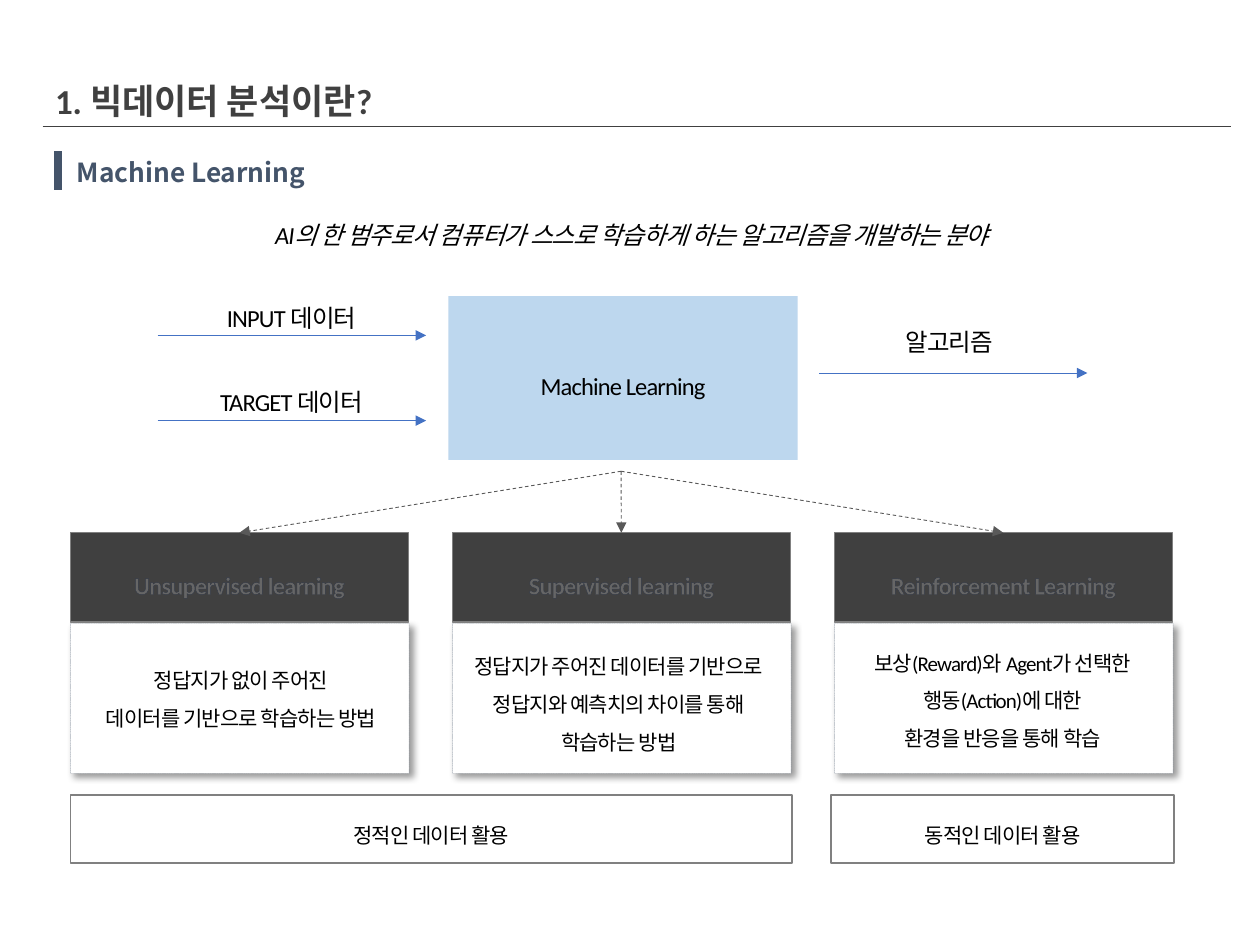
"""Build a slide that explains the three kinds of machine learning."""
from lxml import etree
from pptx import Presentation
from pptx.dml.color import RGBColor
from pptx.enum.dml import MSO_LINE
from pptx.enum.shapes import MSO_CONNECTOR, MSO_SHAPE
from pptx.enum.text import MSO_ANCHOR, PP_ALIGN
from pptx.oxml import parse_xml
from pptx.oxml.ns import qn
from pptx.util import Cm, Pt

RECTANGLE, PENTAGON = MSO_SHAPE.RECTANGLE, MSO_SHAPE.PENTAGON
STRAIGHT = MSO_CONNECTOR.STRAIGHT
DASH, SYS_DASH = MSO_LINE.DASH, MSO_LINE.SQUARE_DOT
MIDDLE, CENTER, LEFT = MSO_ANCHOR.MIDDLE, PP_ALIGN.CENTER, PP_ALIGN.LEFT
NS = 'xmlns:a="http://schemas.openxmlformats.org/drawingml/2006/main"'
KOREAN_FONT = "Noto Sans CJK KR"

COLORS = {
    "title": "404040", "slate": "44546A", "black": "000000", "white": "FFFFFF",
    "header": "404040", "border": "808080", "model": "BDD7EE",
    "flow": "4472C4", "branch": "595959", "outline": "002060",
}

TITLE = "1. 빅데이터 분석이란?"
SECTION = "Machine Learning"
DEFINITION = "AI의 한 범주로서 컴퓨터가 스스로 학습하게 하는 알고리즘을 개발하는 분야"
MODEL = "Machine Learning"
FLOWS = [
    ("INPUT 데이터", 3.18, 6.76, (4.14, 5.51)),
    ("TARGET 데이터", 3.18, 8.48, (4.14, 7.21)),
    ("알고리즘", 16.51, 7.52, (17.4, 5.99)),
]
METHODS = [
    ("Unsupervised learning",
     ["정답지가 없이 주어진", "데이터를 기반으로 학습하는 방법"],
     (1.19, 13.21, 7.34, 1.52)),
    ("Supervised learning",
     ["정답지가 주어진 데이터를 기반으로", "정답지와 예측치의 차이를 통해", "학습하는 방법"],
     (9.02, 12.98, 6.91, 2.18)),
    ("Reinforcement Learning",
     ["보상(Reward)와 Agent가 선택한", "행동(Action)에 대한", "환경을 반응을 통해 학습"],
     (16.76, 13.13, 6.91, 1.73)),
]
USES = [("정적인 데이터 활용", 1.42, 14.55), ("동적인 데이터 활용", 16.76, 6.91)]

COLUMN_LEFT, COLUMN_STEP = 1.42, 7.7
HEADER_TOP, HEADER_WIDTH, HEADER_HEIGHT = 10.74, 6.81, 1.8
CARD_TOP, CARD_WIDTH, CARD_HEIGHT = 12.57, 6.83, 3.02
USE_TOP, USE_HEIGHT = 16.03, 1.37
FLOW_LENGTH, FLOW_LABEL_SIZE = 5.41, (3.48, 1.5)
BRANCH_START = (12.52, 9.5)

HEADING_MARGINS = {"margin_left": Cm(0.25), "margin_right": Cm(0.25),
                   "margin_top": Cm(0.1), "margin_bottom": Cm(0.1)}
NO_MARGINS = dict.fromkeys(HEADING_MARGINS, 0)


def rgb(name):
    return RGBColor.from_string(COLORS[name])


def apply(target, values):
    for attribute, value in values.items():
        setattr(target, attribute, value)


def write(frame, lines, size, color="black", font="Calibri", bold=False,
          italic=False, heading=False, margins=NO_MARGINS):
    apply(frame, {"word_wrap": True, "vertical_anchor": MIDDLE, **margins})
    for index, line in enumerate(lines):
        paragraph = frame.add_paragraph() if index else frame.paragraphs[0]
        apply(paragraph, {"alignment": LEFT if heading else CENTER,
                          "line_spacing": 1.0 if heading else 1.5})
        run = paragraph.add_run()
        run.text = line
        apply(run.font, {"size": Pt(size), "name": font, "bold": bold, "italic": italic})
        run.font.color.rgb = rgb(color)
        properties = run.font._element
        etree.SubElement(properties, qn("a:ea"), typeface=KOREAN_FONT)
        if not heading:
            properties.set("spc", "-50")
            properties.insert(0, parse_xml(
                f'<a:ln {NS} w="9525"><a:solidFill><a:srgbClr val="{COLORS["outline"]}">'
                '<a:alpha val="20000"/></a:srgbClr></a:solidFill></a:ln>'))


def add_text(shapes, area, lines, size, **style):
    box = shapes.add_textbox(*map(Cm, area))
    write(box.text_frame, lines, size, **style)


def add_block(shapes, kind, area, fill=None, line=None, width=0.75):
    block = shapes.add_shape(kind, *map(Cm, area))
    block.shadow.inherit = False
    if fill:
        block.fill.solid()
        block.fill.fore_color.rgb = rgb(fill)
    else:
        block.fill.background()
    if line:
        block.line.color.rgb = rgb(line)
        block.line.width = Pt(width)
    else:
        block.line.fill.background()
    return block


def add_card(shapes, area):
    card = add_block(shapes, RECTANGLE, area, "white", "slate", 0.25)
    card.line.dash_style = SYS_DASH
    properties = card._element.spPr
    line_color = properties.find(qn("a:ln")).find(".//" + qn("a:srgbClr"))
    etree.SubElement(line_color, qn("a:alpha"), val="44000")
    properties.find(qn("a:effectLst")).append(parse_xml(
        f'<a:outerShdw {NS} blurRad="50800" dist="38100" dir="2700000" algn="tl" '
        f'rotWithShape="0"><a:srgbClr val="{COLORS["black"]}">'
        '<a:alpha val="40000"/></a:srgbClr></a:outerShdw>'))


def add_line(shapes, start, end, color, width, dash=None, arrow=False, target=None):
    line = shapes.add_connector(STRAIGHT, *map(Cm, (*start, *end)))
    if target is not None:
        line.end_connect(target, 0)
    line.line.color.rgb = rgb(color)
    line.line.width = Pt(width)
    if dash:
        line.line.dash_style = dash
    properties = line._element.spPr
    if arrow:
        etree.SubElement(properties.find(qn("a:ln")), qn("a:tailEnd"), type="triangle")
    etree.SubElement(properties, qn("a:effectLst"))


def main():
    deck = Presentation()
    deck.slide_width, deck.slide_height = Cm(25.4), Cm(19.05)
    shapes = deck.slides.add_slide(deck.slide_layouts[6]).shapes

    add_line(shapes, (0.86, 2.54), (24.82, 2.54), "title", 0.5)
    add_text(shapes, (0.86, 1.63, 24.21, 0.79), [TITLE], 20, color="title",
             bold=True, heading=True, margins=HEADING_MARGINS)
    add_line(shapes, (1.17, 3.05), (1.17, 3.84), "slate", 4.32)
    add_text(shapes, (1.19, 2.97, 10.03, 0.99), [SECTION], 15, color="slate",
             font=KOREAN_FONT, bold=True, heading=True,
             margins={**HEADING_MARGINS, "margin_left": Cm(0.36)})
    add_text(shapes, (1.8, 3.84, 21.87, 1.5), [DEFINITION], 14, italic=True)

    model = add_block(shapes, RECTANGLE, (9.04, 5.97, 7.04, 3.3), "model")
    write(model.text_frame, [MODEL], 14)
    for label, left, top, label_corner in FLOWS:
        add_line(shapes, (left, top), (left + FLOW_LENGTH, top), "flow", 0.5, arrow=True)
        add_text(shapes, (*label_corner, *FLOW_LABEL_SIZE), [label], 14)

    for column, (name, explanation, explanation_area) in enumerate(METHODS):
        left = COLUMN_LEFT + column * COLUMN_STEP
        add_card(shapes, (left, CARD_TOP, CARD_WIDTH, CARD_HEIGHT))
        header = add_block(shapes, PENTAGON, (left, HEADER_TOP, HEADER_WIDTH, HEADER_HEIGHT),
                           "header", "border")
        header.adjustments[0] = 0
        write(header.text_frame, [name], 14, color="white", bold=True,
              margins={**NO_MARGINS, "margin_top": Cm(0.13), "margin_bottom": Cm(0.13)})
        add_text(shapes, explanation_area, explanation, 12)
        add_line(shapes, BRANCH_START, (left + HEADER_WIDTH / 2, HEADER_TOP), "branch",
                 0.5, dash=DASH, arrow=True, target=header)

    for use, left, width in USES:
        block = add_block(shapes, RECTANGLE, (left, USE_TOP, width, USE_HEIGHT),
                          line="border", width=1)
        write(block.text_frame, [use], 12)

    deck.save("out.pptx")


if __name__ == "__main__":
    main()
